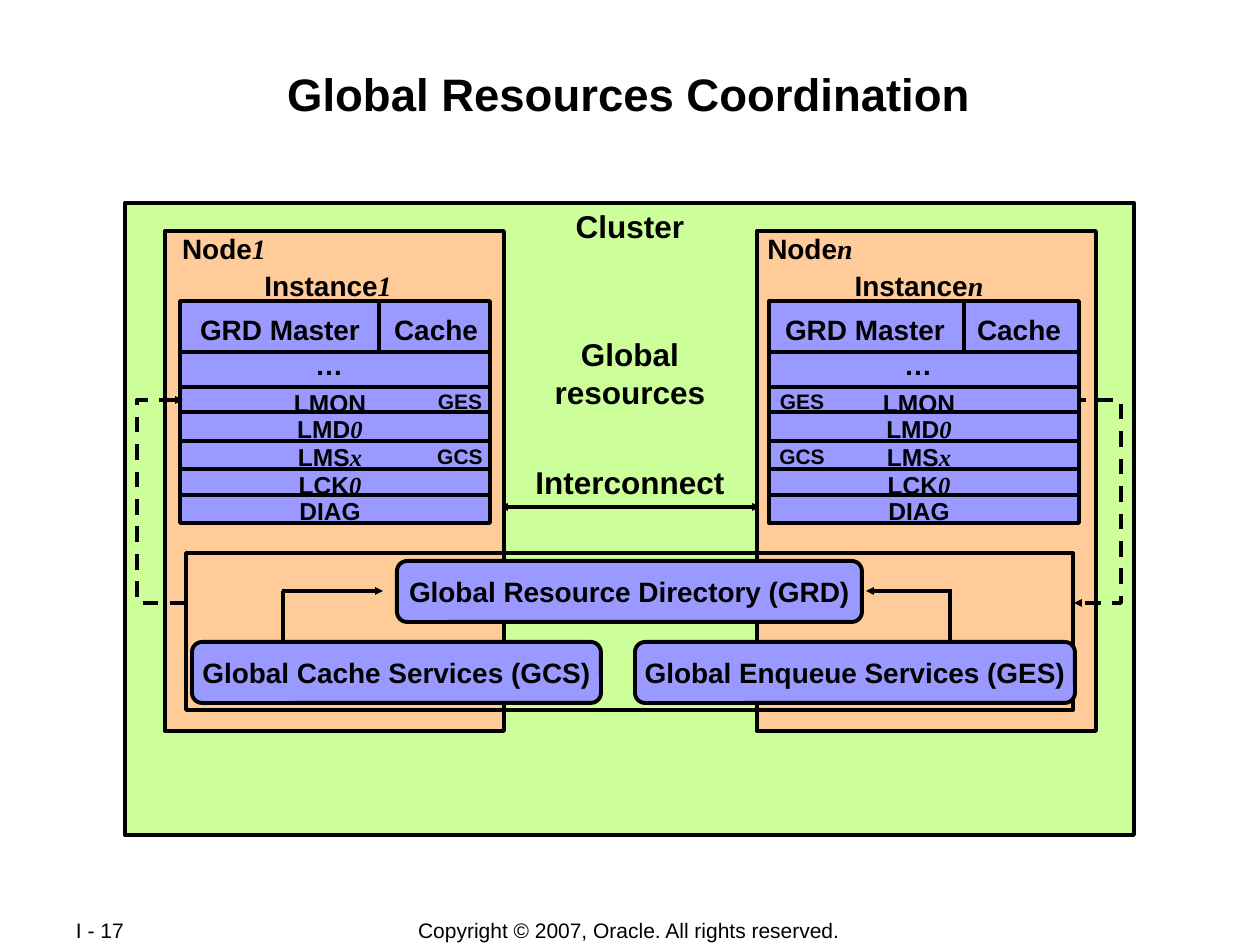
from lxml.etree import SubElement
from pptx import Presentation
from pptx.dml.color import RGBColor
from pptx.enum.dml import MSO_LINE
from pptx.enum.shapes import MSO_CONNECTOR, MSO_SHAPE
from pptx.enum.text import MSO_ANCHOR, PP_ALIGN
from pptx.oxml.ns import qn
from pptx.util import Pt

PX = 914400 / 126
COLORS = {"ink": "000000", "cluster": "CCFF99", "node": "FFCC99", "block": "9999FF"}
INK = RGBColor.from_string(COLORS["ink"])

presentation = Presentation()
presentation.slide_width = int(1260 * PX)
presentation.slide_height = int(945 * PX)
slide = presentation.slides.add_slide(presentation.slide_layouts[6])


def write(shape, text, size, bold=True, suffix=""):
    frame = shape.text_frame
    frame.word_wrap = False
    frame.vertical_anchor = MSO_ANCHOR.MIDDLE
    frame.margin_left = frame.margin_right = 0
    frame.margin_top = frame.margin_bottom = 0
    frame.text = text
    if suffix:
        frame.paragraphs[0].add_run().text = suffix
    for paragraph in frame.paragraphs:
        paragraph.alignment = PP_ALIGN.CENTER
        for run in paragraph.runs:
            run.font.name = "Arial"
            run.font.size = Pt(size)
            run.font.bold = bold
            run.font.color.rgb = INK
    if suffix:
        run.font.name = "Times New Roman"
        run.font.italic = True


def outline(item, ends=()):
    item.line.color.rgb = INK
    item.line.width = Pt(2.25)
    properties = item._element.spPr
    line = properties.find(qn("a:ln"))
    for end in ends:
        SubElement(line, qn(f"a:{end}"), type="triangle", w="sm", len="sm")
    if properties.find(qn("a:effectLst")) is None:
        SubElement(properties, qn("a:effectLst"))


dashed_paths = {
    "left": [(186, 603), (137, 603), (137, 400), (183, 400)],
    "right": [(1070, 400), (1121, 400), (1121, 603), (1074, 603)],
}
nodes = [
    {"side": "right", "left": 757, "table": 769, "suffix": "n", "node_x": 810,
     "instance_x": 919, "divider": 195, "master_x": 96, "cache_x": 250, "service_x": 33},
    {"side": "left", "left": 165, "table": 180, "suffix": "1", "node_x": 224,
     "instance_x": 328, "divider": 199, "master_x": 100, "cache_x": 256, "service_x": 280},
]
processes = [("LMON", "", 403), ("LMD", "0", 429), ("LMS", "x", 457),
             ("LCK", "0", 485), ("DIAG", "", 511)]
row_lines = [352, 387, 412, 441, 469, 495]

rectangles = [(125, 203, 1009, 632, "cluster")]
labels = [
    ("Global Resources Coordination", "", 629, 93, 1090, 56, 26),
    ("Cluster", "", 630, 226, 134, 50, 18),
    ("Global\nresources", "", 630, 373, 176, 88, 18),
    ("Interconnect", "", 630, 482, 214, 50, 18),
]
lines = []
for node in nodes:
    left = node["table"]
    rectangles.append((node["left"], 231, 339, 500, "node"))
    rectangles.append((left, 301, 310, 222, "block"))
    lines += [(left, y, left + 310, y, ()) for y in row_lines]
    lines.append((left + node["divider"], 301, left + node["divider"], 352, ()))
    labels += [
        ("Node", node["suffix"], node["node_x"], 248, 110, 46, 16),
        ("Instance", node["suffix"], node["instance_x"], 285, 156, 46, 16),
        ("GRD Master", "", left + node["master_x"], 329, 186, 46, 16),
        ("Cache", "", left + node["cache_x"], 329, 108, 46, 16),
        ("…", "", left + 149, 364, 54, 46, 16),
        ("GES", "", left + node["service_x"], 401, 70, 38, 12),
        ("GCS", "", left + node["service_x"], 456, 70, 38, 12),
    ]
    labels += [(name, suffix, left + 150, y, 92, 42, 14) for name, suffix, y in processes]
rectangles.append((186, 553, 887, 157, None))
lines += [
    (283, 641, 283, 591, ()),
    (282, 591, 383, 591, ["tailEnd"]),
    (950, 641, 950, 591, ()),
    (952, 591, 866, 591, ["tailEnd"]),
]

for index, (left, top, width, height, color) in enumerate(rectangles):
    shape = slide.shapes.add_shape(
        MSO_SHAPE.RECTANGLE, *(int(v * PX) for v in (left, top, width, height)))
    if color:
        shape.fill.solid()
        shape.fill.fore_color.rgb = RGBColor.from_string(COLORS[color])
    else:
        shape.fill.background()
    shape.shadow.inherit = False
    outline(shape)
    if index == 0:
        interconnect = slide.shapes.add_connector(
            MSO_CONNECTOR.STRAIGHT, *(int(v * PX) for v in (500, 507, 760, 507)))
        outline(interconnect, ["headEnd", "tailEnd"])
    side = {1: "right", 4: "left"}.get(index)
    if side:
        points = dashed_paths[side]
        builder = slide.shapes.build_freeform(*points[0], scale=PX)
        builder.add_line_segments(points[1:], close=False)
        path_shape = builder.convert_to_shape()
        path_shape.fill.background()
        path_shape.shadow.inherit = False
        path_shape.line.dash_style = MSO_LINE.DASH
        outline(path_shape, ["tailEnd"])

for x1, y1, x2, y2, ends in lines:
    connector = slide.shapes.add_connector(
        MSO_CONNECTOR.STRAIGHT, *(int(v * PX) for v in (x1, y1, x2, y2)))
    outline(connector, ends)

for text, suffix, center_x, center_y, width, height, size in labels:
    box = (center_x - width / 2, center_y - height / 2, width, height)
    label = slide.shapes.add_textbox(*(int(v * PX) for v in box))
    write(label, text, size, suffix=suffix)

services = [
    ("Global Resource Directory (GRD)", 397, 561, 465),
    ("Global Cache Services (GCS)", 192, 642, 409),
    ("Global Enqueue Services (GES)", 635, 642, 440),
]
for text, left, top, width in services:
    service = slide.shapes.add_shape(
        MSO_SHAPE.ROUNDED_RECTANGLE, *(int(v * PX) for v in (left, top, width, 61)))
    service.fill.solid()
    service.fill.fore_color.rgb = RGBColor.from_string(COLORS["block"])
    service.shadow.inherit = False
    outline(service)
    write(service, text, 16)

footers = [("Copyright © 2007, Oracle. All rights reserved.", 346, 566, PP_ALIGN.CENTER),
           ("I - 17", 76, 120, PP_ALIGN.LEFT)]
for text, left, width, alignment in footers:
    footer = slide.shapes.add_textbox(*(int(v * PX) for v in (left, 917, width, 27)))
    write(footer, text, 12, bold=False)
    footer.text_frame.word_wrap = True
    footer.text_frame.paragraphs[0].alignment = alignment

presentation.save("out.pptx")
